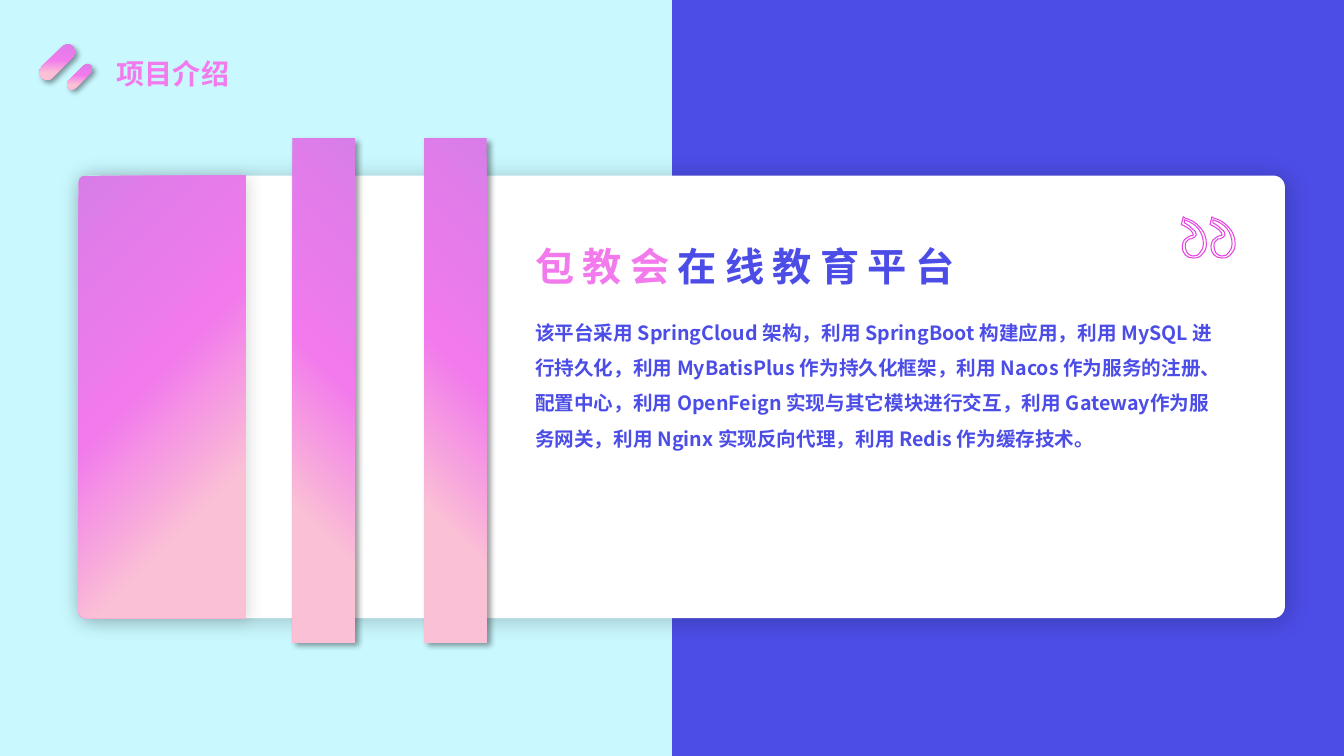
from copy import deepcopy

from lxml.etree import SubElement
from pptx import Presentation
from pptx.dml.color import RGBColor
from pptx.enum.shapes import MSO_SHAPE as SHAPE
from pptx.enum.text import MSO_ANCHOR as ANCHOR, MSO_AUTO_SIZE as AUTO, PP_ALIGN as ALIGN
from pptx.oxml.ns import qn
from pptx.util import Pt

FONT = "Noto Sans CJK SC"
BLUE = RGBColor(0x4C, 0x4D, 0xE6)
CYAN = RGBColor(0xC9, 0xF9, 0xFF)
WHITE = RGBColor(0xFF, 0xFF, 0xFF)
BLACK = RGBColor(0x00, 0x00, 0x00)
IVORY = RGBColor(0xEE, 0xEC, 0xE1)
MAGENTA = RGBColor(0xE4, 0x44, 0xE1)
PINKS = (RGBColor(0xD8, 0x7D, 0xE8), RGBColor(0xF2, 0x7A, 0xEC),
         RGBColor(0xFA, 0xC0, 0xD5), RGBColor(0xFB, 0xC3, 0xD4))
SHAPE_STOPS = (0, 0.45, 0.76, 1)
TEXT_STOPS = (0, 0.74, 0.83, 1)

# Shadows: opacity in percent, blur and distance in points
BAR_SHADOW = (40, 4, 3)
CARD_SHADOW = (24, 17, 3)
PANEL_SHADOW = (15, 12, 2)

INTRO = ("该平台采用 SpringCloud 架构，利用 SpringBoot 构建应用，利用 MySQL 进行持久化，"
         "利用 MyBatisPlus 作为持久化框架，利用 Nacos 作为服务的注册、配置中心，"
         "利用 OpenFeign 实现与其它模块进行交互，利用 Gateway作为服务网关，"
         "利用 Nginx 实现反向代理，利用 Redis 作为缓存技术。")

# Quote mark outlines in 0.72 pt units: a start, then lines (2 numbers) and cubics (6)
QUOTE_OUTER = ((12, 41), (16, 41, 19, 40, 21, 37), (24, 34, 25, 31, 25, 27),
               (25, 21, 23, 15, 19, 11), (15, 6, 10, 3, 3, 1), (2, 0), (0, 8), (1, 8),
               (4, 10, 7, 11, 9, 13), (11, 15, 12, 17, 12, 18), (12, 18, 12, 19, 9, 19),
               (7, 20), (6, 21, 4, 22, 3, 23), (2, 25, 1, 27, 1, 29),
               (1, 33, 2, 36, 4, 38), (6, 40, 9, 41, 12, 41))
QUOTE_INNER = ((3, 3), (9, 5, 14, 8, 17, 12), (20, 16, 22, 21, 22, 27),
               (22, 30, 21, 33, 19, 35), (18, 38, 15, 39, 12, 39), (10, 39, 8, 38, 6, 36),
               (5, 34, 4, 32, 4, 29), (4, 27, 4, 26, 5, 25), (6, 24, 7, 23, 8, 22),
               (10, 22), (12, 21, 15, 20, 15, 18), (15, 16, 14, 14, 11, 12),
               (9, 9, 6, 8, 3, 6))
QUOTE_STEP = 28.5


def set_gradient(fill, parent, positions, angle):
    """Fill with the four pinks; angle runs counter-clockwise."""
    fill.gradient()
    fill.gradient_angle = angle
    stops = parent.find(qn("a:gradFill")).find(qn("a:gsLst"))
    for _ in range(len(PINKS) - len(stops)):
        stops.append(deepcopy(stops[0]))
    for stop, color, position in zip(fill.gradient_stops, PINKS, positions):
        stop.color.rgb = color
        stop.position = position


def set_alpha(color_element, percent):
    SubElement(color_element, qn("a:alpha"), val=str(percent * 1000))


def set_shadow(sp, opacity, blur, distance):
    effects = sp.element.spPr.find(qn("a:effectLst"))
    shadow = SubElement(effects, qn("a:outerShdw"), blurRad=str(Pt(blur)),
                        dist=str(Pt(distance)), dir=str(45 * 60000), rotWithShape="0")
    set_alpha(SubElement(shadow, qn("a:srgbClr"), val=str(BLACK)), opacity)


def add_block(s, kind, box, color=None, shadow=None, rotation=0, adjust=()):
    """Add a borderless shape, pink gradient unless a color is given."""
    sp = s.shapes.add_shape(kind, *map(Pt, box))
    sp.shadow.inherit = False
    sp.line.fill.background()
    sp.rotation = rotation
    for i, value in enumerate(adjust):
        sp.adjustments[i] = value
    if color is None:
        set_gradient(sp.fill, sp.element.spPr, SHAPE_STOPS, 225)
    else:
        sp.fill.solid()
        sp.fill.fore_color.rgb = color
    if shadow:
        set_shadow(sp, *shadow)


def format_run(r, size, color=None):
    """Set bold text, pink gradient unless a color is given."""
    r.font.name = FONT
    r.font.size = Pt(size)
    r.font.bold = True
    r_pr = r.font._element
    if color is None:
        set_gradient(r.font.fill, r_pr, TEXT_STOPS, 270)
    else:
        r.font.color.rgb = color
    r_pr.find(qn("a:latin")).addnext(r_pr.makeelement(qn("a:ea"), typeface=FONT))
    return r_pr


def place_text(sp, box, text, wrap=True):
    """Position a text shape, bring it to the front and return its paragraph."""
    sp.left, sp.top, sp.width, sp.height = map(Pt, box)
    sp.element.getparent().append(sp.element)
    tf = sp.text_frame
    tf.text = text
    tf.word_wrap = wrap
    tf.auto_size = AUTO.SHAPE_TO_FIT_TEXT
    tf.vertical_anchor = ANCHOR.TOP
    p = tf.paragraphs[0]
    p.alignment = ALIGN.LEFT
    p.space_before = Pt(0)
    return p


def add_heading(s, box, parts):
    p = place_text(s.shapes.add_textbox(0, 0, 0, 0), box, "")
    for text, color in parts:
        r = p.add_run()
        r.text = text
        format_run(r, 28, color).set("spc", "600")


def shift_outline(outline, dx):
    """Move an outline right and give it in tenths of its unit."""
    return [[round(10 * (v + dx * (i % 2 == 0))) for i, v in enumerate(segment)]
            for segment in outline]


def bend_lines(sp, segments):
    """Turn the straight segments that have control points into cubic curves."""
    for line, segment in zip(list(sp.element.iter(qn("a:lnTo"))), segments):
        if len(segment) == 6:
            line.tag = qn("a:cubicBezTo")
            for i in (0, 2):
                control = line.makeelement(qn("a:pt"), x=str(segment[i]),
                                           y=str(segment[i + 1]))
                line.insert(i // 2, control)


def add_quote_mark(s, left, top):
    outlines = [shift_outline(outline, dx) for dx in (0, QUOTE_STEP)
                for outline in (QUOTE_OUTER, QUOTE_INNER)]
    builder = s.shapes.build_freeform(*outlines[0][0], scale=Pt(0.072))
    segments = []
    for i, (start, *rest) in enumerate(outlines):
        if i:
            builder.move_to(*start)
        # The closing line back to the start is a segment of its own
        ends = [segment[-2:] for segment in rest]
        closing = [] if ends[-1] == start else [start]
        builder.add_line_segments(ends + closing, close=True)
        segments += rest + closing
    sp = builder.convert_to_shape(Pt(left), Pt(top))
    bend_lines(sp, segments)
    sp.shadow.inherit = False
    sp.fill.solid()
    sp.fill.fore_color.rgb = IVORY
    set_alpha(sp.element.spPr.find(qn("a:solidFill"))[0], 20)
    sp.line.color.rgb = MAGENTA
    sp.line.width = Pt(0.75)


def main():
    prs = Presentation()
    prs.slide_width, prs.slide_height = Pt(960), Pt(540)
    s = prs.slides.add_slide(prs.slide_layouts[1])
    title, body = s.placeholders
    s.background.fill.solid()
    s.background.fill.fore_color.rgb = BLUE

    add_block(s, SHAPE.RECTANGLE, (0, 0, 480, 540), CYAN)
    for pill in ((25.2, 38.9, 31.7, 10.8), (45.4, 51.1, 23, 7.2)):
        add_block(s, SHAPE.FLOWCHART_TERMINATOR, pill, shadow=BAR_SHADOW, rotation=315)
    p = place_text(title, (76.3, 36.7, 97, 31.7), "项目介绍", wrap=False)
    format_run(p.runs[0], 20)

    add_block(s, SHAPE.ROUNDED_RECTANGLE, (56, 125.4, 861.8, 316.1), WHITE,
              CARD_SHADOW, adjust=(0.026,))
    add_block(s, SHAPE.ROUND_2_SAME_RECTANGLE, (-42.2, 223.7, 316.1, 119.5),
              shadow=PANEL_SHADOW, rotation=270, adjust=(0.039, 0))

    add_heading(s, (375.1, 169.5, 321.1, 41),
                (("包教会", None), ("在线教育平台", BLUE)))
    p = place_text(body, (375, 217, 506.9, 108.7), INTRO)
    p_pr = p._p.get_or_add_pPr()
    p_pr.set("marL", "0")
    p_pr.set("indent", "0")
    SubElement(p_pr, qn("a:buNone"))
    p.line_spacing = 1.5
    format_run(p.runs[0], 14, BLUE)

    for left in (209, 303.1):
        add_block(s, SHAPE.RECTANGLE, (left, 98.7, 44.6, 360), shadow=BAR_SHADOW)
    add_quote_mark(s, 843.8, 154.8)
    prs.save("out.pptx")


if __name__ == "__main__":
    main()
